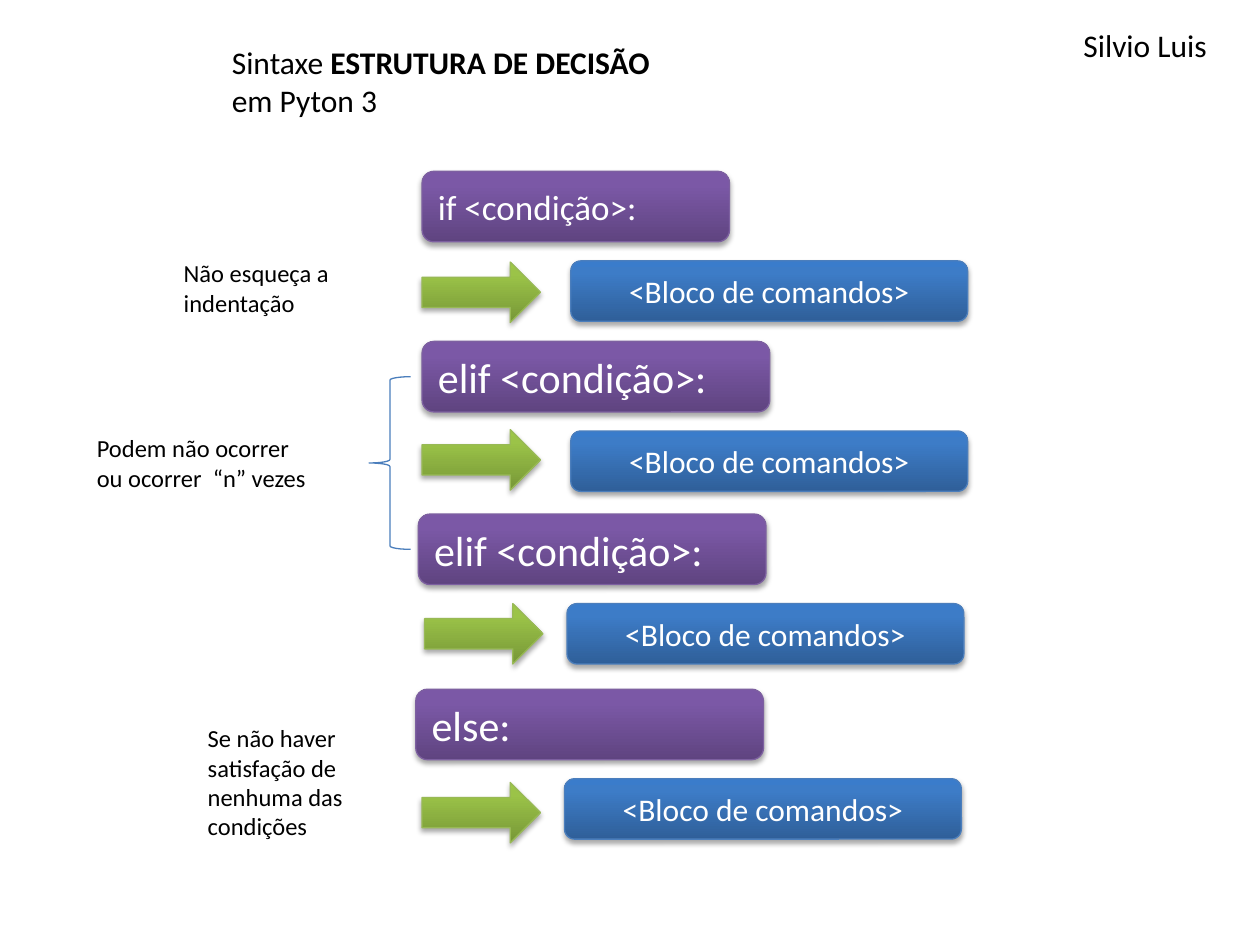
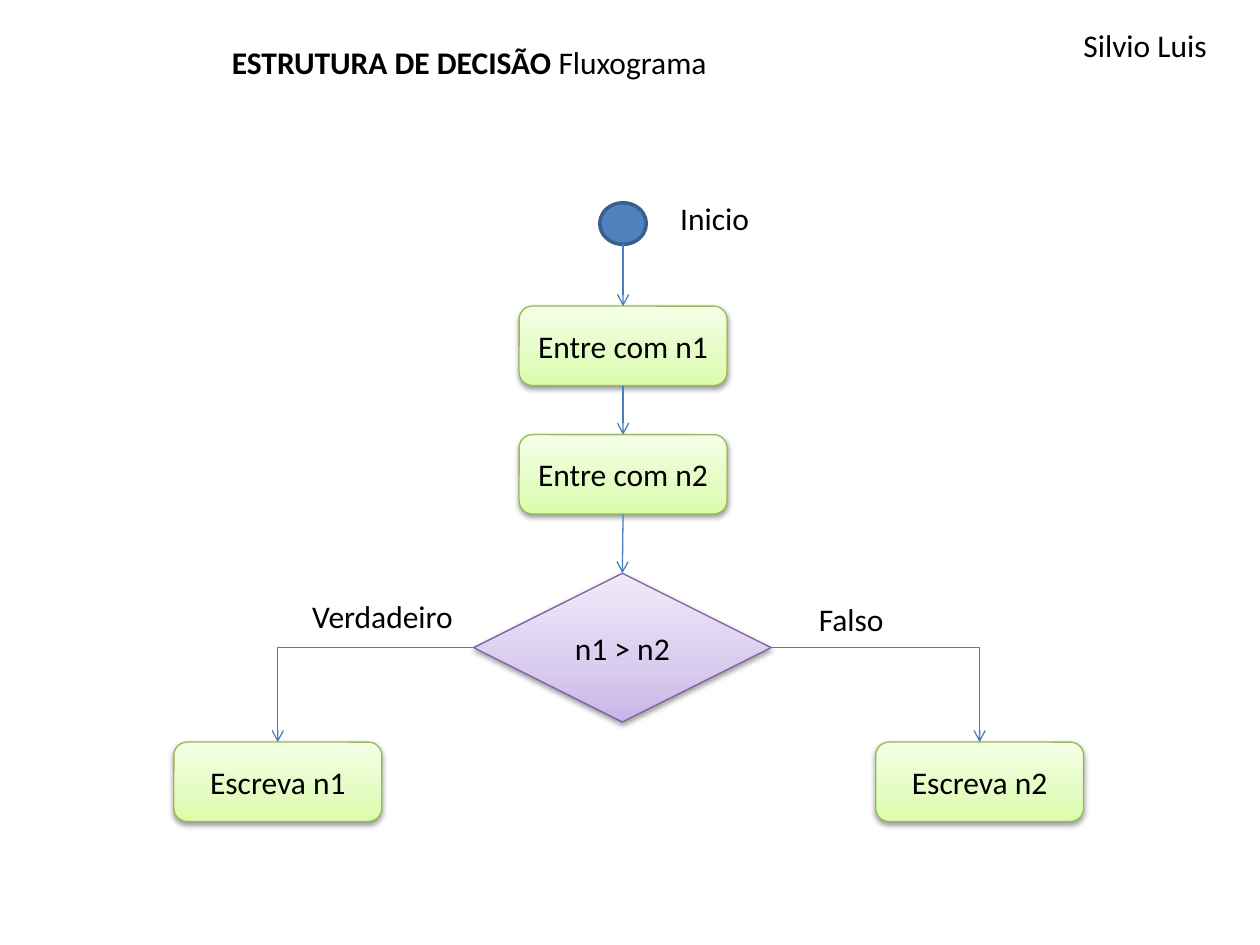
"""Builds two slides on decision structures: the syntax and its flowchart."""
from lxml import etree
from pptx import Presentation
from pptx import util as u
from pptx.dml.color import RGBColor
from pptx.enum import shapes, text
from pptx.oxml.ns import qn

FONT = "Calibri"
HUES = {"ink": "000000", "white": "FFFFFF", "wire": "4B7EBC",
        "dot": "4F81BD", "rim": "3A5F8C"}
KIND = shapes.MSO_SHAPE
LEFT, MID = text.PP_ALIGN.LEFT, text.PP_ALIGN.CENTER
DEEP, SOFT = (35, 1.8), (38, 1.6)
LOOKS = {
    "purple": {"stops": [(0, "5F4480"), (80, "7B58A6"), (100, "7C57A8")],
               "line": "7D60A0", "ink": "white", "shade": DEEP},
    "blue": {"stops": [(0, "2F5F99"), (80, "3D7CC7"), (100, "3A7CCB")],
             "line": "4B7EBC", "ink": "white", "shade": DEEP},
    "green": {"stops": [(0, "779737"), (80, "9BC348"), (100, "9DC746")],
              "line": "98B955", "ink": "white", "shade": DEEP},
    "lime": {"stops": [(0, "DAFDA7"), (35, "E4FCC2"), (100, "F5FFE7")],
             "line": "98B955", "ink": "ink", "shade": SOFT},
    "lilac": {"stops": [(0, "C9B5E8"), (35, "D8CBEE"), (100, "F0EAF9")],
              "line": "7D60A0", "ink": "ink", "shade": SOFT},
}


def rgb(code):
    return RGBColor.from_string(code)


def inch(*nums):
    return [u.Inches(n) for n in nums]


def apply(item, **vals):
    for key, val in vals.items():
        setattr(item, key, val)


def node(root, tag, **vals):
    return etree.SubElement(root, qn(tag), {k: str(v) for k, v in vals.items()})


def write(frame, paras, size, ink="ink", align=LEFT):
    """Fills a frame; each paragraph is a list of (words, bold) runs."""
    for i, runs in enumerate(paras):
        para = frame.paragraphs[0] if i == 0 else frame.add_paragraph()
        para.alignment = align
        for words, bold in runs:
            run = para.add_run()
            run.text = words
            apply(run.font, name=FONT, size=u.Pt(size), bold=bold)
            run.font.color.rgb = rgb(HUES[ink])


def label(slide, words, box, size=18, wrap=False):
    note = slide.shapes.add_textbox(*inch(*box))
    apply(note.text_frame, word_wrap=wrap,
          auto_size=text.MSO_AUTO_SIZE.SHAPE_TO_FIT_TEXT)
    write(note.text_frame, [[(words, False)]], size)


def outline(line, code, width=0.75):
    line.color.rgb = rgb(code)
    line.width = u.Pt(width)


def block(slide, kind, look, box, words="", size=18, align=MID):
    """Adds a shape with a gradient, a soft shadow and centred-height text."""
    style = LOOKS[look]
    shape = slide.shapes.add_shape(kind, *inch(*box))
    shape.fill.gradient()
    shape.fill.gradient_angle = 90
    props = shape._element.spPr
    stops = props.find(qn("a:gradFill")).find(qn("a:gsLst"))
    for old in list(stops):
        stops.remove(old)
    for place, code in style["stops"]:
        node(node(stops, "a:gs", pos=place * 1000), "a:srgbClr", val=code)
    outline(shape.line, style["line"])
    shape.shadow.inherit = False
    alpha, drop = style["shade"]
    shade = node(props.find(qn("a:effectLst")), "a:outerShdw",
                 blurRad=u.Pt(3.1), dist=u.Pt(drop), dir=5400000, rotWithShape=0)
    tint = node(shade, "a:srgbClr", val=HUES["ink"])
    node(tint, "a:alpha", val=alpha * 1000)
    if words:
        apply(shape.text_frame, word_wrap=True,
              vertical_anchor=text.MSO_ANCHOR.MIDDLE)
        write(shape.text_frame, [[(words, False)]], size, style["ink"], align)
    return shape


def plain(slide, kind, box, line, width, fill=None):
    shape = slide.shapes.add_shape(kind, *inch(*box))
    shape.shadow.inherit = False
    if fill:
        shape.fill.solid()
        shape.fill.fore_color.rgb = rgb(HUES[fill])
    else:
        shape.fill.background()
    outline(shape.line, HUES[line], width)
    return shape


def link(slide, head, side, goal, bent=False):
    """Draws an arrow from a side of one shape to the top of another."""
    half = head.width // 2
    start = {1: (head.left, head.top + head.height // 2),
             2: (head.left + half, head.top + head.height),
             3: (head.left + head.width, head.top + head.height // 2)}[side]
    kind = shapes.MSO_CONNECTOR.ELBOW if bent else shapes.MSO_CONNECTOR.STRAIGHT
    wire = slide.shapes.add_connector(
        kind, *start, goal.left + goal.width // 2, goal.top)
    if head.auto_shape_type != KIND.OVAL:
        wire.begin_connect(head, side)
    wire.end_connect(goal, 0)
    props = wire._element.spPr
    if bent:
        props.find(qn("a:prstGeom")).set("prst", "bentConnector2")
    outline(wire.line, HUES["wire"])
    node(props.find(qn("a:ln")), "a:tailEnd", type="arrow")
    node(props, "a:effectLst")


def start(deck, paras, height):
    """Adds a slide with its title and the author's name."""
    slide = deck.slides.add_slide(deck.slide_layouts[5])
    title = slide.shapes.title
    left, top, wide, tall = inch(1.74, 0.29, 6.57, height)
    apply(title, left=left, top=top, width=wide, height=tall)
    apply(title.text_frame, word_wrap=True, auto_size=text.MSO_AUTO_SIZE.NONE,
          vertical_anchor=text.MSO_ANCHOR.TOP)
    write(title.text_frame, paras, 18)
    label(slide, "Silvio Luis", (8.5, 0.16, 1.19, 0.4))
    return slide


def syntax(deck):
    slide = start(deck, [[("Sintaxe ", False), ("ESTRUTURA DE DECISÃO", True)],
                         [("em Pyton 3", False)]], 0.71)
    rows = [("if <condição>:", 3.35, 1.36, 2.44, 20, (3.35, 2.08)),
            ("elif <condição>:", 3.35, 2.71, 2.76, 24, (3.35, 3.41)),
            ("elif <condição>:", 3.32, 4.08, 2.76, 24, (3.37, 4.79)),
            ("else:", 3.3, 5.47, 2.76, 24, (3.35, 6.21))]
    for words, x, y, wide, size, spot in rows:
        block(slide, KIND.ROUNDED_RECTANGLE, "purple", (x, y, wide, 0.56),
              words, size, LEFT)
        block(slide, KIND.ROUNDED_RECTANGLE, "blue",
              (x + 1.18, y + 0.71, 3.15, 0.48), "<Bloco de comandos>")
        block(slide, KIND.RIGHT_ARROW, "green", (*spot, 0.94, 0.48))
    plain(slide, KIND.LEFT_BRACE, (2.93, 2.99, 0.33, 1.37), "wire", 0.75)
    notes = [("Não esqueça a indentação", (1.36, 2, 1.83, 0.57)),
             ("Podem não ocorrer ou ocorrer  “n” vezes", (0.67, 3.39, 1.95, 0.57)),
             ("Se não haver satisfação de nenhuma das condições",
              (1.55, 5.69, 1.45, 1.04))]
    for words, box in notes:
        label(slide, words, box, 14, True)


def flow(deck):
    slide = start(deck, [[("ESTRUTURA DE DECISÃO ", True),
                          ("Fluxograma", False)]], 0.4)
    dot = plain(slide, KIND.OVAL, (4.76, 1.61, 0.37, 0.33), "rim", 2, "dot")
    steps = [("Entre com n1", 4.12, 2.43), ("Entre com n2", 4.12, 3.45),
             ("Escreva n1", 1.38, 5.89), ("Escreva n2", 6.95, 5.89)]
    first, second, yes, no = [
        block(slide, KIND.ROUNDED_RECTANGLE, "lime", (x, y, 1.65, 0.63), words)
        for words, x, y in steps]
    test = block(slide, KIND.FLOWCHART_DECISION, "lilac",
                 (3.76, 4.55, 2.36, 1.18), "n1 > n2")
    for head, goal in [(dot, first), (first, second), (second, test)]:
        link(slide, head, 2, goal)
    link(slide, test, 1, yes, True)
    link(slide, test, 3, no, True)
    for words, box in [("Falso", (6.4, 4.71, 0.72, 0.4)),
                       ("Verdadeiro", (2.38, 4.69, 1.33, 0.4)),
                       ("Inicio", (5.3, 1.53, 0.75, 0.4))]:
        label(slide, words, box)


def main():
    deck = Presentation()
    apply(deck, slide_width=u.Inches(10), slide_height=u.Inches(7.5))
    syntax(deck)
    flow(deck)
    deck.save("out.pptx")


if __name__ == "__main__":
    main()
